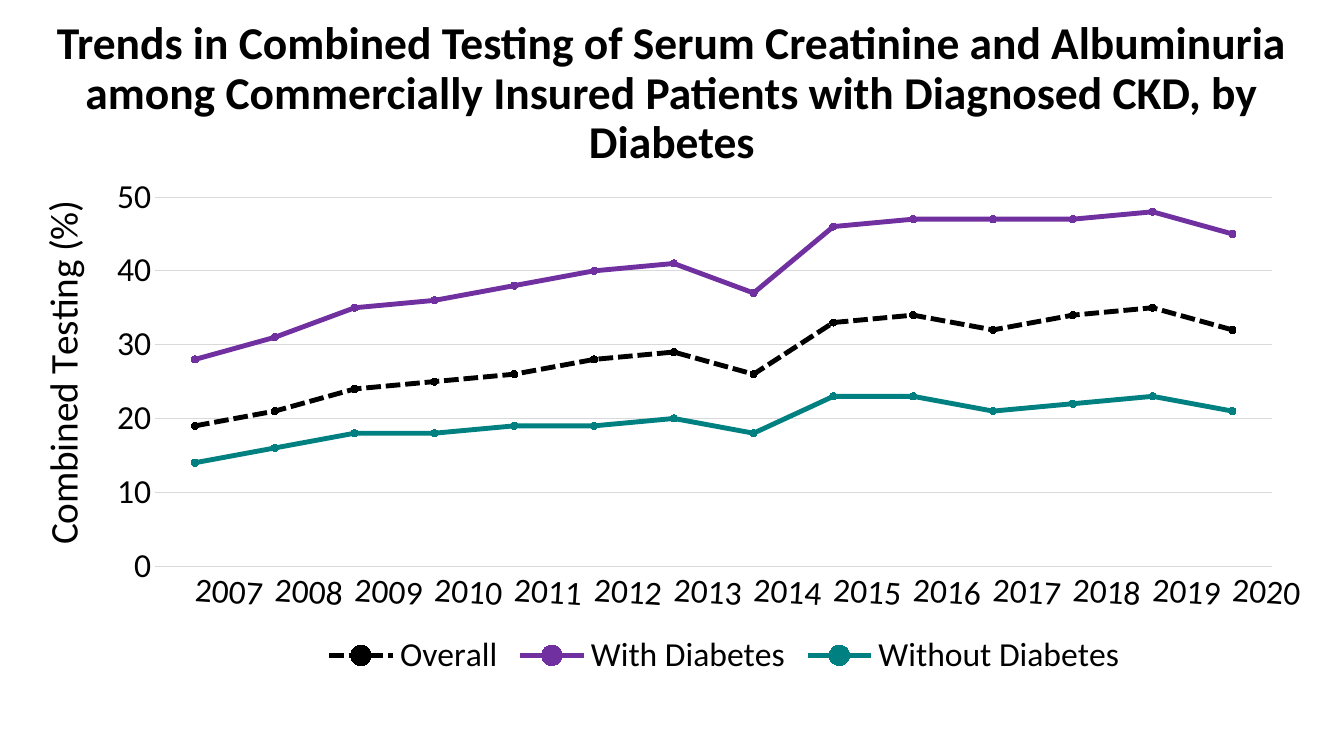
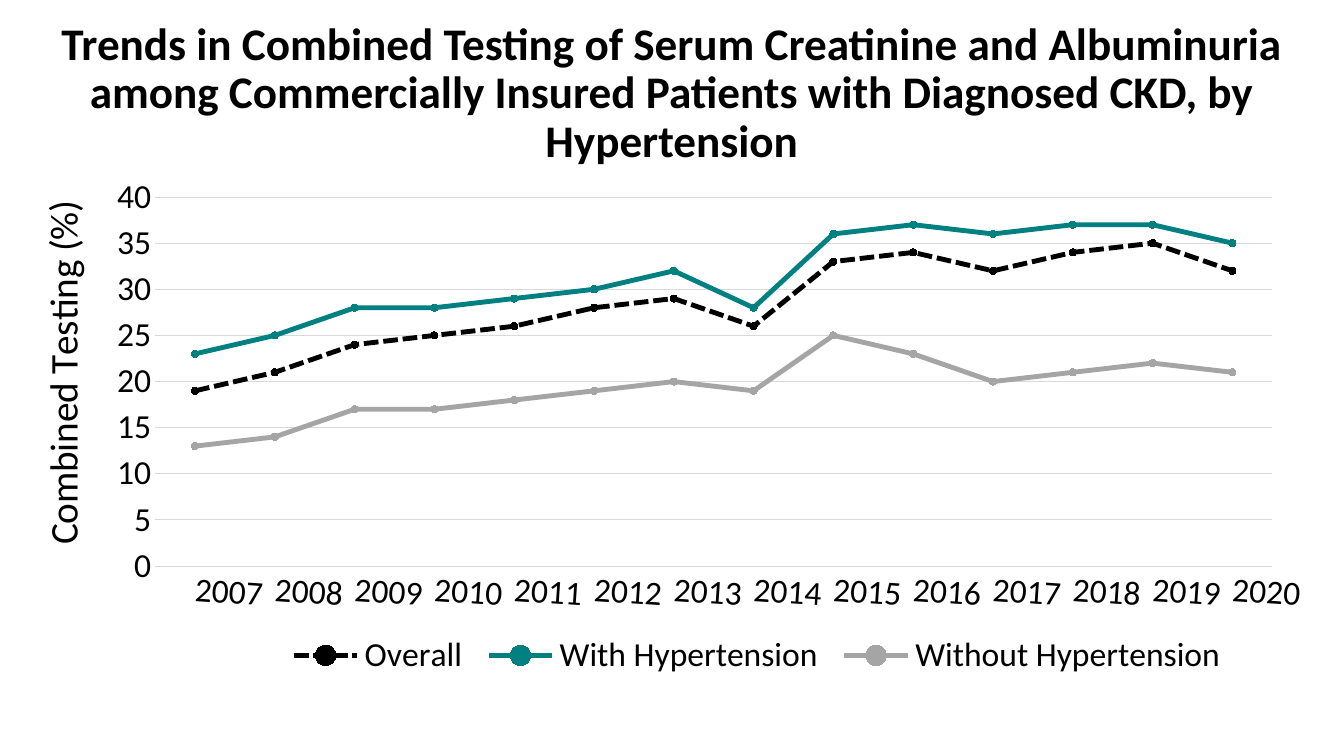
from dataclasses import dataclass

from pptx import Presentation
from pptx.chart.data import CategoryChartData
from pptx.chart.series import LineSeries
from pptx.dml.color import RGBColor
from pptx.enum.chart import XL_CHART_TYPE, XL_LEGEND_POSITION, XL_MARKER_STYLE, XL_TICK_MARK
from pptx.enum.dml import MSO_LINE
from pptx.enum.text import MSO_ANCHOR, PP_ALIGN
from pptx.oxml import parse_xml
from pptx.oxml.ns import nsdecls
from pptx.text.text import Font
from pptx.util import Pt

LINE_MARKERS = XL_CHART_TYPE.LINE_MARKERS
BOTTOM = XL_LEGEND_POSITION.BOTTOM
CIRCLE = XL_MARKER_STYLE.CIRCLE
NO_TICK = XL_TICK_MARK.NONE
SYS_DASH = MSO_LINE.SQUARE_DOT
MIDDLE = MSO_ANCHOR.MIDDLE
CENTER = PP_ALIGN.CENTER

BLACK = RGBColor(0x00, 0x00, 0x00)
PURPLE = RGBColor(0x70, 0x30, 0xA0)
TEAL = RGBColor(0x00, 0x80, 0x80)
GRAY = RGBColor(0xA5, 0xA5, 0xA5)
GRID = RGBColor(0xD9, 0xD9, 0xD9)

FONT = "Calibri"
LEFT, WIDTH = 11.52, 936.72
TITLE_TOP, TITLE_HEIGHT = 15.12, 104.4
CHART_TOP, CHART_HEIGHT = 119.52, 372.96
YEARS = [str(year) for year in range(2007, 2021)]
TITLE = (
    "Trends in Combined Testing of Serum Creatinine and Albuminuria "
    "among Commercially Insured Patients with Diagnosed CKD, by "
)


@dataclass(frozen=True)
class Trend:
    name: str
    color: RGBColor
    values: tuple[int, ...]
    dashed: bool = False


@dataclass(frozen=True)
class TrendSlide:
    condition: str
    title_size: float
    axis_max: int
    axis_step: int
    legend_box: tuple[float, ...]
    trends: tuple[Trend, ...]


OVERALL = Trend("Overall", BLACK, (19, 21, 24, 25, 26, 28, 29, 26, 33, 34, 32, 34, 35, 32), True)

SLIDES = (
    TrendSlide("Diabetes", 32.5, 50, 10, (0.23, 0.89, 0.62, 0.09), (
        OVERALL,
        Trend("With Diabetes", PURPLE, (28, 31, 35, 36, 38, 40, 41, 37, 46, 47, 47, 47, 48, 45)),
        Trend("Without Diabetes", TEAL, (14, 16, 18, 18, 19, 19, 20, 18, 23, 23, 21, 22, 23, 21)),
    )),
    TrendSlide("Hypertension", 32.3, 40, 5, (0.2, 0.89, 0.73, 0.09), (
        OVERALL,
        Trend("With Hypertension", TEAL, (23, 25, 28, 28, 29, 30, 32, 28, 36, 37, 36, 37, 37, 35)),
        Trend("Without Hypertension", GRAY, (13, 14, 17, 17, 18, 19, 20, 19, 25, 23, 20, 21, 22, 21)),
    )),
)


def style_font(font: Font, size: float, bold: bool = False) -> None:
    font.name = FONT
    font.size = Pt(size)
    font.bold = bold
    font.color.rgb = BLACK


def manual_layout(box: tuple[float, ...], inner: bool = False):
    target = '<c:layoutTarget val="inner"/>' if inner else ""
    modes = '<c:xMode val="edge"/><c:yMode val="edge"/>'
    sizes = "".join(f'<c:{key} val="{val}"/>' for key, val in zip("xywh", box))
    return parse_xml(
        f'<c:layout {nsdecls("c")}><c:manualLayout>{target}{modes}{sizes}</c:manualLayout></c:layout>'
    )


def arrange_chart(root, legend_box: tuple[float, ...]) -> None:
    for old in root.xpath(".//c:plotArea/c:layout | .//c:legend/c:layout | .//c:valAx/c:title/c:layout"):
        old.getparent().remove(old)
    root.xpath(".//c:plotArea")[0].insert(0, manual_layout((0.106, 0.057, 0.852, 0.707), True))
    root.xpath(".//c:legend/c:legendPos")[0].addnext(manual_layout(legend_box))
    root.xpath(".//c:valAx/c:title/c:tx")[0].addnext(manual_layout((0.01, 0.05)))
    root.xpath(".//c:catAx/c:txPr/a:bodyPr")[0].set("rot", "240000")


def style_series(series: LineSeries, trend: Trend) -> None:
    series.smooth = False
    line = series.format.line
    line.width = Pt(3.5)
    line.color.rgb = trend.color
    if trend.dashed:
        line.dash_style = SYS_DASH
    marker = series.marker
    marker.style = CIRCLE
    marker.size = 5
    marker.format.fill.solid()
    marker.format.fill.fore_color.rgb = trend.color
    marker.format.line.color.rgb = trend.color


def add_title(s, spec_slide: TrendSlide) -> None:
    sp = s.shapes.add_textbox(Pt(LEFT), Pt(TITLE_TOP), Pt(WIDTH), Pt(TITLE_HEIGHT))
    tf = sp.text_frame
    tf.word_wrap = True
    tf.vertical_anchor = MIDDLE
    p = tf.paragraphs[0]
    p.text = TITLE + spec_slide.condition
    p.alignment = CENTER
    p.line_spacing = 0.9
    style_font(p.font, spec_slide.title_size, True)


def add_trend_chart(s, content: TrendSlide) -> None:
    data = CategoryChartData(number_format="0")
    data.categories = YEARS
    for trend in content.trends:
        data.add_series(trend.name, trend.values)
    frame = s.shapes.add_chart(
        LINE_MARKERS, Pt(LEFT), Pt(CHART_TOP), Pt(WIDTH), Pt(CHART_HEIGHT), data
    )
    chart = frame.chart
    chart.has_title = False
    style_font(chart.font, 10)
    chart.plots[0].vary_by_categories = False
    for series, trend in zip(chart.plots[0].series, content.trends):
        style_series(series, trend)

    years, percent = chart.category_axis, chart.value_axis
    for axis in (years, percent):
        axis.major_tick_mark = NO_TICK
        axis.minor_tick_mark = NO_TICK
        style_font(axis.tick_labels.font, 24)
    years.format.line.color.rgb = GRID
    years.format.line.width = Pt(0.75)

    percent.minimum_scale = 0
    percent.maximum_scale = content.axis_max
    percent.major_unit = content.axis_step
    percent.tick_labels.number_format = "0"
    percent.tick_labels.number_format_is_linked = False
    percent.format.line.fill.background()
    percent.major_gridlines.format.line.color.rgb = GRID
    percent.major_gridlines.format.line.width = Pt(0.75)
    p = percent.axis_title.text_frame.paragraphs[0]
    p.text = "Combined Testing (%)"
    style_font(p.font, 28)

    chart.has_legend = True
    chart.legend.position = BOTTOM
    chart.legend.include_in_layout = False
    style_font(chart.legend.font, 24)
    arrange_chart(chart.element, content.legend_box)


def main() -> None:
    prs = Presentation()
    prs.slide_width, prs.slide_height = Pt(960), Pt(540)
    for content in SLIDES:
        s = prs.slides.add_slide(prs.slide_layouts[6])
        add_title(s, content)
        add_trend_chart(s, content)
    prs.save("out.pptx")


if __name__ == "__main__":
    main()
